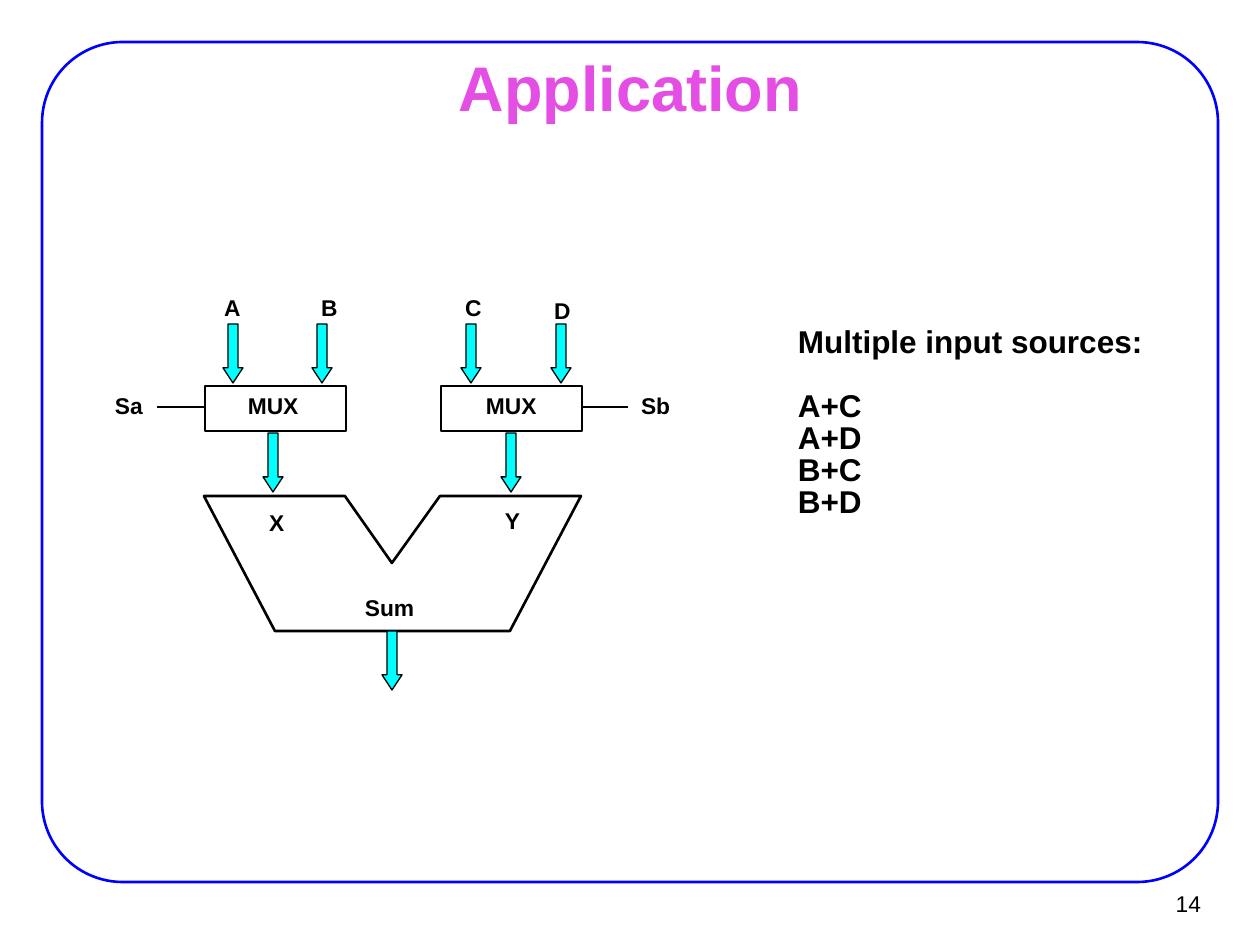
import pptx
import pptx.util
import pptx.dml.color
import pptx.enum.shapes
import pptx.enum.text
import lxml.etree

RGBColor = pptx.dml.color.RGBColor
SHAPE = pptx.enum.shapes.MSO_SHAPE
ALIGN = pptx.enum.text.PP_ALIGN
ANCHOR = pptx.enum.text.MSO_ANCHOR
FIT = pptx.enum.text.MSO_AUTO_SIZE
BLACK = RGBColor(0x00, 0x00, 0x00)
WHITE = RGBColor(0xFF, 0xFF, 0xFF)
BLUE = RGBColor(0x00, 0x00, 0xFF)
CYAN = RGBColor(0x00, 0xFF, 0xFF)
PINK = RGBColor(0xE4, 0x4E, 0xE4)
PIXEL = pptx.util.Inches(1) / 126

deck = pptx.Presentation()
deck.slide_width = pptx.util.Inches(10)
deck.slide_height = pptx.util.Inches(7.5)
page = deck.slides.add_slide(deck.slide_layouts[6])


def add_text(lines, place, size=13, color=BLACK, bold=True, align=ALIGN.LEFT,
             anchor=ANCHOR.TOP, inset=(0, 0), wrap=False, fit=FIT.NONE,
             spacing=None, gap=0):
    """Add a text box; gap is the space in points after its first line."""
    box = page.shapes.add_textbox(*[round(v * PIXEL) for v in place])
    frame = box.text_frame
    frame.word_wrap = wrap
    frame.auto_size = fit
    frame.vertical_anchor = anchor
    frame.margin_left = frame.margin_right = round(inset[0] * PIXEL)
    frame.margin_top = frame.margin_bottom = round(inset[1] * PIXEL)
    for index, line in enumerate(lines):
        para = frame.add_paragraph() if index else frame.paragraphs[0]
        para.alignment = align
        para.line_spacing = spacing
        if gap and index == 0:
            para.space_after = pptx.util.Pt(gap)
        span = para.add_run()
        span.text = line
        span.font.name = "Arial"
        span.font.size = pptx.util.Pt(size)
        span.font.bold = bold
        span.font.color.rgb = color


def style(shape, fill=None, line=BLACK, width=1.5):
    """Set fill and outline of a shape and remove its shadow."""
    shape.shadow.inherit = False
    if fill is None:
        shape.fill.background()
    else:
        shape.fill.solid()
        shape.fill.fore_color.rgb = fill
    shape.line.color.rgb = line
    shape.line.width = pptx.util.Pt(width)


# Frame, title, page number and list
border = page.shapes.add_shape(SHAPE.ROUNDED_RECTANGLE,
                               *[round(v * PIXEL) for v in (42, 42, 1176, 840)])
border.adjustments[0] = 0.096
style(border, line=BLUE)
add_text(["14"], (1135, 880, 77, 47), bold=False, align=ALIGN.RIGHT,
         anchor=ANCHOR.MIDDLE, inset=(11, 5))
add_text(["Application"], (95, 55, 1071, 62), size=36, color=PINK,
         align=ALIGN.CENTER, anchor=ANCHOR.MIDDLE, inset=(14, 8), wrap=True)
add_text(["Multiple input sources:", "A+C", "A+D", "B+C", "B+D"],
         (789, 324, 365, 234), size=18, inset=(9, 4), spacing=0.85, gap=18)

# Multiplexers and their select lines
for left in (205, 441):
    mux = page.shapes.add_shape(SHAPE.RECTANGLE,
                                *[round(v * PIXEL) for v in (left, 386, 141, 45)])
    style(mux, fill=WHITE)
for start, end in ((204, 157), (581, 628)):
    select = page.shapes.add_connector(
        pptx.enum.shapes.MSO_CONNECTOR.STRAIGHT,
        *[round(v * PIXEL) for v in (start, 407, end, 407)])
    select.line.color.rgb = BLACK
    select.line.width = pptx.util.Pt(1.5)
    lxml.etree.SubElement(select.element.spPr, pptx.oxml.ns.qn("a:effectLst"))

# Adder
outline = page.shapes.build_freeform(204, 496, scale=PIXEL)
outline.add_line_segments([(345, 496), (392, 563), (440, 496), (581, 496),
                           (510, 631), (275, 631)], close=True)
style(outline.convert_to_shape())

# Labels: text, left, top, width
for label, left, top, width in (
        ("MUX", 248, 392, 52), ("MUX", 486, 392, 52),
        ("X", 269, 509, 16), ("Y", 505, 507, 16), ("Sum", 365, 594, 52),
        ("A", 224, 294, 17), ("B", 321, 294, 17),
        ("C", 465, 294, 17), ("D", 554, 297, 17),
        ("Sa", 115, 392, 29), ("Sb", 641, 392, 30)):
    add_text([label], (left, top, width, 28), fit=FIT.SHAPE_TO_FIT_TEXT)

# Data arrows, row by row
for top, lefts in ((433, (263, 501)), (324, (223, 312, 461, 551)), (631, (382,))):
    for left in lefts:
        arrow = page.shapes.add_shape(SHAPE.DOWN_ARROW,
                                      *[round(v * PIXEL) for v in (left, top, 20, 59)])
        arrow.adjustments[0] = 0.5
        arrow.adjustments[1] = 0.756
        style(arrow, fill=CYAN, width=0.75)

deck.save("out.pptx")
